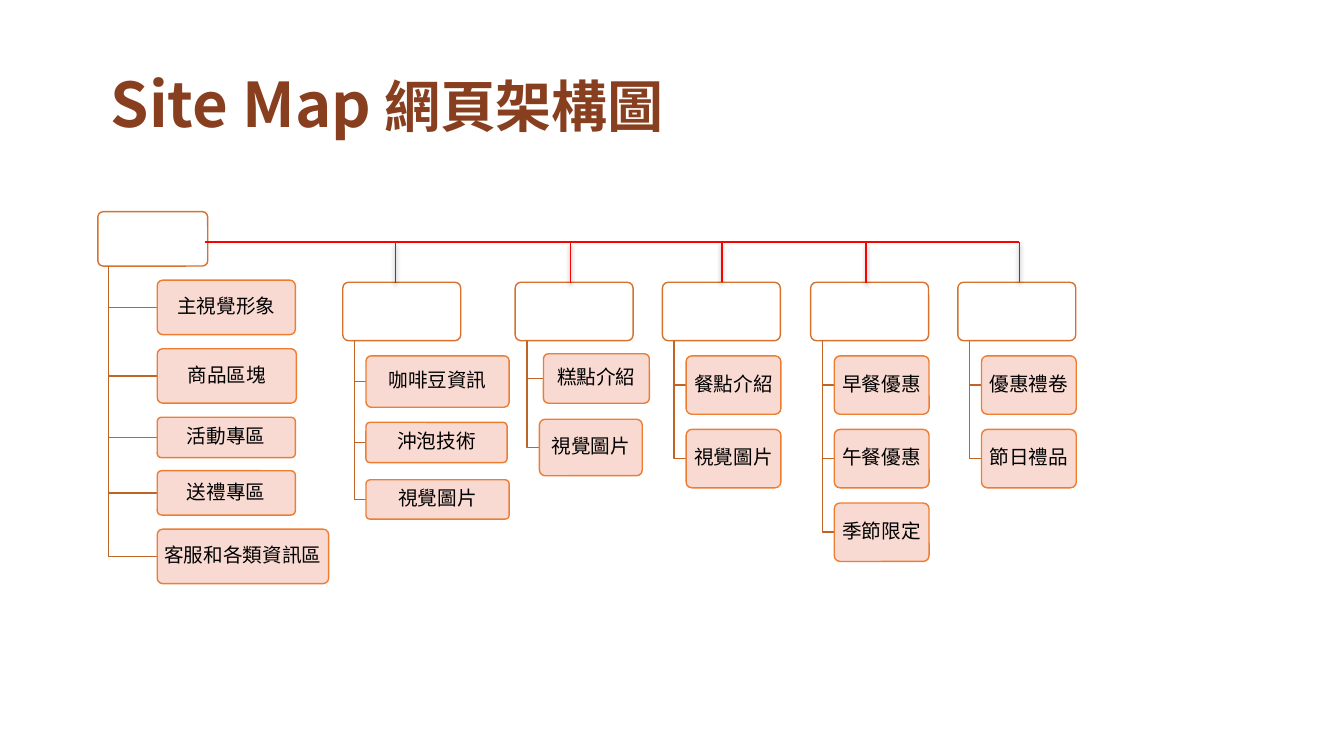
import pptx
import pptx.dml.color
import pptx.enum.shapes
import pptx.enum.text
import pptx.oxml
import pptx.oxml.ns
import pptx.util
from pptx.util import Inches

RGBColor = pptx.dml.color.RGBColor
WHITE = RGBColor(0xFF, 0xFF, 0xFF)
BLACK = RGBColor(0x00, 0x00, 0x00)
RED = RGBColor(0xFF, 0x00, 0x00)
BROWN = RGBColor(0x88, 0x3F, 0x1F)
HEADER_LINE = RGBColor(0xD7, 0x71, 0x2C)
ELBOW_LINE = RGBColor(0xBE, 0x64, 0x27)
ITEM_FILL = RGBColor(0xF8, 0xD7, 0xCE)
ITEM_LINE = RGBColor(0xED, 0x7D, 0x31)

FONT = "Noto Sans CJK SC"
NAMESPACE = pptx.oxml.ns.nsdecls("a")
LINE_SHADOW = (
    f'<a:effectLst {NAMESPACE}><a:outerShdw blurRad="39370" dist="20320" '
    'dir="5400000" rotWithShape="0"><a:srgbClr val="000000">'
    '<a:alpha val="39000"/></a:srgbClr></a:outerShdw></a:effectLst>'
)
NO_EFFECTS = f"<a:effectLst {NAMESPACE}/>"

presentation = pptx.Presentation()
presentation.slide_width = Inches(13.33)
presentation.slide_height = Inches(7.5)
slide = presentation.slides.add_slide(presentation.slide_layouts[6])


def add_text(frame, text, size=14, color=BLACK, bold=False, align="LEFT", after=0,
             insets=(0.05, 0.03)):
    """Append a run to the frame's first paragraph and format both."""
    frame.word_wrap = True
    frame.vertical_anchor = pptx.enum.text.MSO_ANCHOR.MIDDLE
    frame.margin_left = frame.margin_right = Inches(insets[0])
    frame.margin_top = frame.margin_bottom = Inches(insets[1])
    paragraph = frame.paragraphs[0]
    paragraph.alignment = getattr(pptx.enum.text.PP_ALIGN, align)
    paragraph.line_spacing = 0.9
    paragraph.space_after = pptx.util.Pt(after)
    run = paragraph.add_run()
    run.text = text
    run.font.size = pptx.util.Pt(size)
    run.font.bold = bold
    run.font.color.rgb = color
    run.font.name = FONT
    run.font._element.append(
        pptx.oxml.parse_xml(f'<a:ea {NAMESPACE} typeface="{FONT}"/>'))


def add_rounded_box(left, top, width, height, fill, line):
    box = slide.shapes.add_shape(
        pptx.enum.shapes.MSO_SHAPE.ROUNDED_RECTANGLE,
        Inches(left), Inches(top), Inches(width), Inches(height))
    box.adjustments[0] = 0.1
    box.shadow.inherit = False
    box.fill.solid()
    box.fill.fore_color.rgb = fill
    box.line.color.rgb = line
    box.line.width = pptx.util.Pt(1)
    return box


def_rows = [3.53, 4.26, 4.99]
# Each branch: header box, then its items as (text, left, top, width, height)
branches = [
    ((3.4, 2.8, 1.17, 0.58), [
        ("咖啡豆資訊", 3.63, 3.53, 1.42, 0.51),
        ("沖泡技術", 3.63, 4.19, 1.4, 0.4),
        ("視覺圖片", 3.63, 4.76, 1.42, 0.39)]),
    ((5.11, 2.8, 1.17, 0.58), [
        ("糕點介紹", 5.39, 3.51, 1.05, 0.49),
        ("視覺圖片", 5.35, 4.16, 1.02, 0.56)]),
]
for left, names in [(6.57, ["餐點介紹", "視覺圖片"]),
                    (8.04, ["早餐優惠", "午餐優惠", "季節限定"]),
                    (9.5, ["優惠禮卷", "節日禮品"])]:
    items = [(name, left + 0.235, top, 0.94, 0.58)
             for name, top in zip(names, def_rows)]
    branches.append(((left, 2.8, 1.17, 0.58), items))
branches.append(((0.97, 2.1, 1.09, 0.54), [
    ("主視覺形象", 1.56, 2.78, 1.37, 0.54),
    ("商品區塊", 1.56, 3.46, 1.38, 0.54),
    ("活動專區", 1.56, 4.14, 1.37, 0.4),
    ("送禮專區", 1.56, 4.67, 1.37, 0.44),
    ("客服和各類資訊區", 1.56, 5.25, 1.7, 0.54)]))

for header, items in branches:
    header_left, header_top, header_width, header_height = header
    add_rounded_box(*header, WHITE, HEADER_LINE)
    trunk = header_left + header_width / 10
    bottom = header_top + header_height
    for name, left, top, width, height in items:
        middle = top + height / 2
        builder = slide.shapes.build_freeform(Inches(trunk), Inches(bottom))
        builder.add_line_segments(
            [(Inches(trunk), Inches(middle)), (Inches(left), Inches(middle))],
            close=False)
        elbow = builder.convert_to_shape()
        elbow.shadow.inherit = False
        elbow.fill.background()
        elbow.line.color.rgb = ELBOW_LINE
        elbow.line.width = pptx.util.Pt(1)

        item = add_rounded_box(left, top, width, height, ITEM_FILL, ITEM_LINE)
        fill_color = item._element.spPr.find(
            f"{pptx.oxml.ns.qn('a:solidFill')}/{pptx.oxml.ns.qn('a:srgbClr')}")
        fill_color.append(
            pptx.oxml.parse_xml(f'<a:alpha {NAMESPACE} val="90000"/>'))
        add_text(item.text_frame, name, align="CENTER", after=4.9)

# Main line from the home box, with a drop to each branch
lines = [(2.03, 2.4, 10.11, 2.4, 1.5, NO_EFFECTS)]
for x, y in [(3.92, 2.41), (5.66, 2.41), (7.16, 2.4), (8.59, 2.41), (10.11, 2.4)]:
    lines.append((x, y, x, y + 0.4, 1, LINE_SHADOW))
for start_x, start_y, end_x, end_y, weight, effects in lines:
    connector = slide.shapes.add_connector(
        pptx.enum.shapes.MSO_CONNECTOR.STRAIGHT,
        Inches(start_x), Inches(start_y), Inches(end_x), Inches(end_y))
    connector.line.color.rgb = RED
    connector.line.width = pptx.util.Pt(weight)
    connector._element.spPr.append(pptx.oxml.parse_xml(effects))

title = slide.shapes.add_textbox(Inches(1), Inches(0.69), Inches(11.5), Inches(0.76))
for text, size in [("Site Map", 44), (" 網頁架構圖", 40)]:
    add_text(title.text_frame, text, size=size, color=BROWN, bold=True,
             insets=(0.1, 0.05))

presentation.save("out.pptx")
